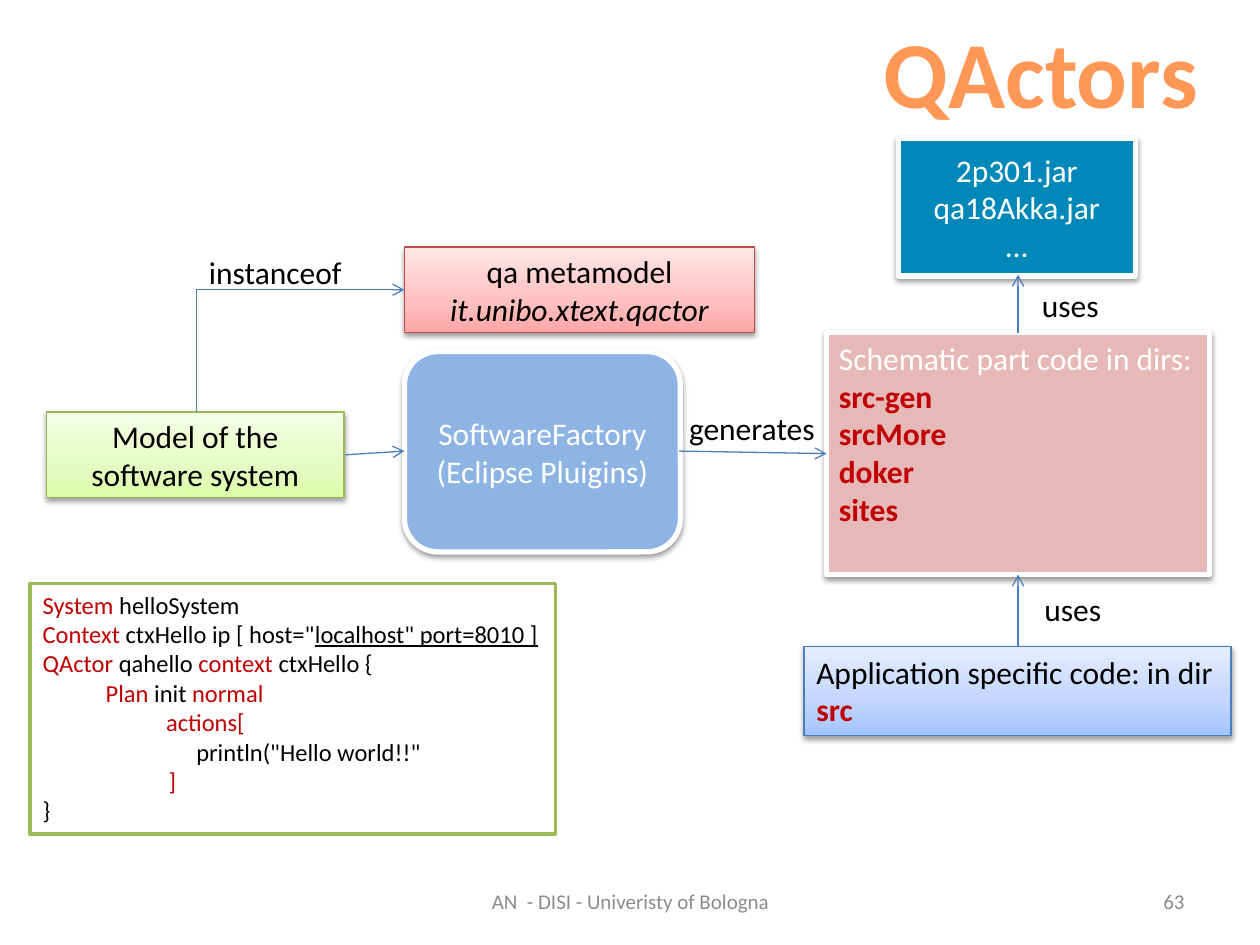
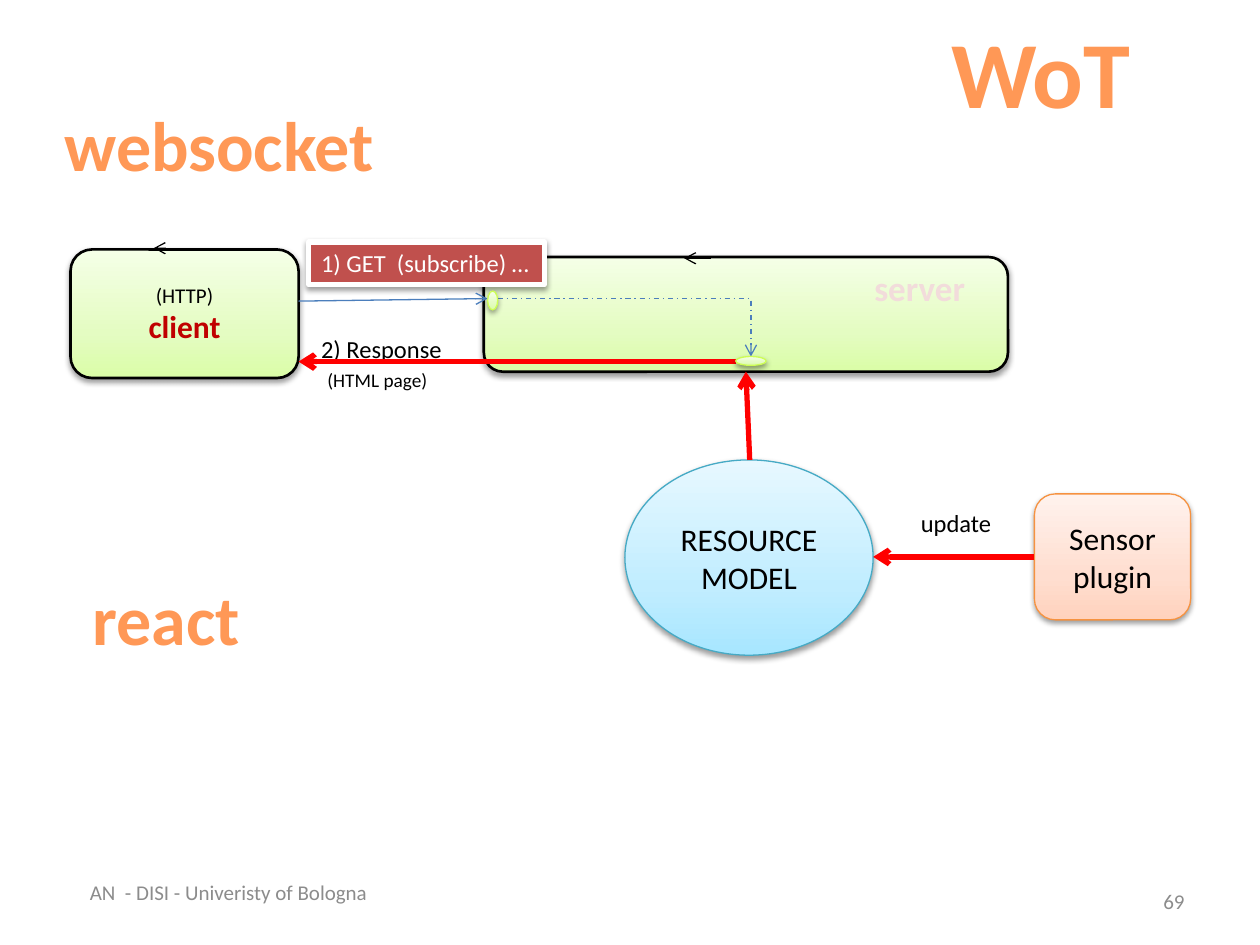
from copy import deepcopy

from lxml.etree import SubElement
from pptx import Presentation
from pptx.dml.color import RGBColor
from pptx.enum.dml import MSO_LINE
from pptx.enum.shapes import MSO_CONNECTOR, MSO_SHAPE
from pptx.enum.text import MSO_ANCHOR, PP_ALIGN
from pptx.oxml.ns import qn
from pptx.util import Inches, Pt

BLACK = RGBColor(0x00, 0x00, 0x00)
WHITE = RGBColor(0xFF, 0xFF, 0xFF)
GREY = RGBColor(0x8C, 0x8C, 0x8C)
ORANGE = RGBColor(0xFF, 0x98, 0x56)
DARK_RED = RGBColor(0xC0, 0x00, 0x00)
RED = RGBColor(0xFF, 0x00, 0x00)
BRICK = RGBColor(0xC0, 0x50, 0x4D)
BLUE = RGBColor(0x4B, 0x7E, 0xBC)
SKY = RGBColor(0x8E, 0xB4, 0xE3)
TEAL = RGBColor(0x00, 0x88, 0xB8)
ROSE = RGBColor(0xE6, 0xB9, 0xB8)
PALE_PINK = RGBColor(0xF2, 0xDC, 0xDB)
OLIVE = RGBColor(0x9B, 0xBB, 0x59)
OLIVE_EDGE = RGBColor(0x98, 0xB9, 0x55)
LIME_EDGE = RGBColor(0xCD, 0xFE, 0x54)
RED_EDGE = RGBColor(0xBF, 0x4C, 0x48)
AQUA_EDGE = RGBColor(0x46, 0xAA, 0xC5)
ORANGE_EDGE = RGBColor(0xF6, 0x92, 0x40)

# Gradients run from the bottom to the top, with stops at 0, 35 and 100 %
GREEN_FADE, RED_FADE, BLUE_FADE, AQUA_FADE, ORANGE_FADE = (
    [RGBColor.from_string(stop) for stop in stops.split()]
    for stops in (
        "DAFDA7 E4FCC2 F5FFE7",
        "FFA6A5 FFC0BF FFE7E7",
        "A4C4FF BFD4FF E6EEFF",
        "A7E6FF C1EDFF E7F8FF",
        "FFD2BD FFDED0 FFF2ED",
    )
)

FONT = "Calibri"
RECT, ROUND, OVAL = MSO_SHAPE.RECTANGLE, MSO_SHAPE.ROUNDED_RECTANGLE, MSO_SHAPE.OVAL
LEFT, CENTER, RIGHT = PP_ALIGN.LEFT, PP_ALIGN.CENTER, PP_ALIGN.RIGHT
TOP, MIDDLE = MSO_ANCHOR.TOP, MSO_ANCHOR.MIDDLE

deck = Presentation()
deck.slide_width, deck.slide_height = Inches(10), Inches(7.5)
COLUMN = deck.slide_width / 10
ROW = deck.slide_height / 7.5


def add_box(page, kind, place, lines=(), fill=None, edge=None, weight=0.75,
            size=18, color=BLACK, bold=False, align=CENTER, anchor=MIDDLE, shadow=True):
    """Add a shape, or a text box if kind is None.

    A line is a string or a list of (text, font options); the options "indent"
    and "before" move its paragraph.
    """
    left, top, width, height = place
    area = [int(v) for v in (left * COLUMN, top * ROW, width * COLUMN, height * ROW)]
    if kind is None:
        box = page.shapes.add_textbox(*area)
    else:
        box = page.shapes.add_shape(kind, *area)
        box.shadow.inherit = False
        if isinstance(fill, list):
            box.fill.gradient()
            box.fill.gradient_angle = 90
            stops = box._element.spPr.find(".//" + qn("a:gsLst"))
            stops.insert(1, deepcopy(stops[0]))
            for stop, shade, position in zip(box.fill.gradient_stops, fill, (0, 0.35, 1)):
                stop.color.rgb = shade
                stop.position = position
        else:
            box.fill.solid()
            box.fill.fore_color.rgb = fill
        box.line.color.rgb = edge
        box.line.width = Pt(weight)
        if shadow:
            effects = box._element.spPr.find(qn("a:effectLst"))
            outer = SubElement(effects, qn("a:outerShdw"), blurRad="40000", dist="20000",
                               dir="5400000", rotWithShape="0")
            tint = SubElement(outer, qn("a:srgbClr"), val="000000")
            SubElement(tint, qn("a:alpha"), val="38000")

    frame = box.text_frame
    frame.word_wrap = False
    frame.vertical_anchor = anchor
    for index, line in enumerate(lines):
        para = frame.add_paragraph() if index else frame.paragraphs[0]
        para.alignment = align
        para.font.name, para.font.size = FONT, Pt(size)
        para.font.bold, para.font.color.rgb = bold, color
        for text, options in [(line, {})] if isinstance(line, str) else line:
            span = para.add_run()
            span.text = text
            for option, value in options.items():
                if option == "color":
                    span.font.color.rgb = value
                elif option == "indent":
                    para._p.get_or_add_pPr().set("marL", str(int(value * COLUMN)))
                elif option == "before":
                    para.space_before = value
                else:
                    setattr(span.font, option, value)
    return box


def add_arrow(page, start, end, color=BLUE, weight=0.75, bent=False, tip="a:tailEnd", dash=None):
    """Add an arrow; a bent one runs sideways first and then down."""
    arrow = page.shapes.add_connector(
        MSO_CONNECTOR.ELBOW if bent else MSO_CONNECTOR.STRAIGHT,
        int(start[0] * COLUMN), int(start[1] * ROW), int(end[0] * COLUMN), int(end[1] * ROW))
    arrow.line.color.rgb = color
    arrow.line.width = Pt(weight)
    if dash:
        arrow.line.dash_style = dash
    properties = arrow._element.spPr
    if bent:
        properties.find(qn("a:prstGeom")).set("prst", "bentConnector2")
    SubElement(properties.find(qn("a:ln")), qn(tip), type="arrow")
    SubElement(properties, qn("a:effectLst"))


# Shared title and footer
pages = []
for title_text, title_left, title_width, number, footer_left, footer_top in (
    ("QActors", 6.9, 2.72, "63", 3.42, 6.95),
    ("WoT", 7.44, 1.64, "69", 0.23, 6.88),
):
    page = deck.slides.add_slide(deck.slide_layouts[5])
    title = page.shapes.title
    title.left, title.top = int(title_left * COLUMN), int(0.06 * ROW)
    title.width, title.height = int(title_width * COLUMN), int(1.01 * ROW)
    title.text_frame.text = title_text
    title.text_frame.word_wrap = False
    title.text_frame.vertical_anchor = TOP
    para = title.text_frame.paragraphs[0]
    para.alignment = CENTER
    para.font.name, para.font.size, para.font.bold = FONT, Pt(54), True
    para.font.color.rgb = ORANGE
    add_box(page, None, (footer_left, footer_top, 3.17, 0.4),
            ["AN  - DISI - Univeristy of Bologna"], size=12, color=GREY)
    add_box(page, None, (7.17, 6.95, 2.33, 0.4), [number], size=12, color=GREY, align=RIGHT)
    pages.append(page)
actors, wot = pages

# QActors: model, metamodel, factory and libraries
key = {"color": DARK_RED}
strong = {"color": DARK_RED, "bold": True}
add_box(actors, RECT, (0.37, 3.27, 2.36, 0.68), ["Model of the", "software system"],
        GREEN_FADE, OLIVE_EDGE)
add_box(actors, ROUND, (3.21, 2.79, 2.19, 1.59), ["SoftwareFactory", "(Eclipse Pluigins)"],
        SKY, WHITE, 3, color=WHITE)
add_box(actors, RECT, (3.21, 1.96, 2.78, 0.68),
        ["qa metamodel", [("it.unibo.xtext.qactor", {"italic": True})]], RED_FADE, RED_EDGE)
add_box(actors, RECT, (7.13, 1.1, 1.88, 1.09), ["2p301.jar", "qa18Akka.jar", "…"],
        TEAL, WHITE, 3, color=WHITE)

# QActors: generated and application code
folders = [[(name, strong)] for name in ("src-gen", "srcMore", "doker", "sites")]
add_box(actors, RECT, (6.56, 2.64, 3.04, 1.92), ["Schematic part code in dirs:"] + folders,
        ROSE, WHITE, 3, color=WHITE, align=LEFT, anchor=TOP)
add_box(actors, RECT, (6.38, 5.13, 3.39, 0.71),
        ["Application specific code: in dir", [("src", strong)]],
        BLUE_FADE, BLUE, align=LEFT, anchor=TOP)

# QActors: arrows and their labels
for start, end in (
    ((2.74, 3.61), (3.21, 3.58)),
    ((5.39, 3.58), (6.56, 3.6)),
    ((8.08, 2.64), (8.08, 2.18)),
    ((8.08, 5.13), (8.08, 4.56)),
):
    add_arrow(actors, start, end)
add_arrow(actors, (3.21, 2.3), (1.56, 3.27), bent=True, tip="a:headEnd")
for label, left, top, width in (
    ("instanceof", 1.56, 1.96, 1.27),
    ("generates", 5.37, 3.2, 1.21),
    ("uses", 8.17, 2.22, 0.66),
    ("uses", 8.19, 4.63, 0.66),
):
    add_box(actors, None, (left, top, width, 0.4), [label], align=LEFT, anchor=TOP)

# QActors: example specification
code = [
    [("System ", key), ("helloSystem", {})],
    [("Context ", key), ('ctxHello ip [ host="', {}),
     ('localhost" port=8010 ]', {"underline": True})],
    [("QActor ", key), ("qahello ", {}), ("context ", key), ("ctxHello {", {})],
    [("Plan ", {"indent": 0.5, **key}), ("init ", {}), ("normal", key)],
    [("actions[", {"indent": 0.98, **key})],
    [('println("Hello world!!"', {"indent": 1.22})],
    [("]", {"indent": 1, **key})],
    "}",
]
add_box(actors, RECT, (0.24, 4.63, 4.17, 1.99), code, WHITE, OLIVE, 2,
        size=14, align=LEFT, anchor=TOP, shadow=False)

# WoT: side headings
add_box(wot, None, (0.4, 0.76, 2.68, 0.77), ["websocket"],
        size=40, color=ORANGE, bold=True, anchor=TOP)
add_box(wot, None, (0.63, 4.52, 1.38, 0.77), ["react"],
        size=40, color=ORANGE, bold=True, anchor=TOP)

# WoT: server and client
add_box(wot, ROUND, (3.84, 2.04, 4.16, 0.91), (), GREEN_FADE, BLACK, 1.5)
add_box(wot, None, (6.84, 2.08, 1.15, 0.4), ["server"],
        size=20, color=PALE_PINK, bold=True, align=LEFT)
add_box(wot, ROUND, (0.56, 1.98, 1.81, 1.02),
        [[("(HTTP)", {"size": Pt(12)})], [("client", strong)]], GREEN_FADE, BLACK, 1.5)
add_arrow(wot, (1.43, 1.97), (1.22, 1.97), BLACK)
add_arrow(wot, (5.64, 2.05), (5.43, 2.05), BLACK)

# WoT: request and response
add_box(wot, RECT, (2.45, 1.92, 1.87, 0.34), ["1) GET  (subscribe) …"], BRICK, WHITE, 3,
        size=14, color=WHITE, align=LEFT, anchor=TOP)
add_box(wot, None, (2.45, 2.6, 1.17, 0.57),
        ["2) Response", [("(HTML page)", {"size": Pt(11), "indent": 0.05, "before": Pt(3)})]],
        size=14, align=LEFT, anchor=TOP)
add_arrow(wot, (2.37, 2.39), (3.87, 2.37))
add_arrow(wot, (5.84, 2.87), (2.37, 2.87), RED, 3)
add_arrow(wot, (3.95, 2.37), (5.96, 2.83), bent=True, dash=MSO_LINE.DASH_DOT)
for port in ((3.87, 2.31, 0.08, 0.15), (5.84, 2.83, 0.24, 0.07)):
    add_box(wot, OVAL, port, (), GREEN_FADE, LIME_EDGE)

# WoT: resource model and sensor
add_box(wot, OVAL, (4.96, 3.65, 1.97, 1.55), ["RESOURCE", "MODEL"], AQUA_FADE, AQUA_EDGE)
add_box(wot, ROUND, (8.21, 3.92, 1.24, 1), ["Sensor", "plugin"], ORANGE_FADE, ORANGE_EDGE)
add_arrow(wot, (8.21, 4.42), (6.93, 4.42), RED, 3)
add_arrow(wot, (5.95, 3.65), (5.92, 2.95), RED, 3)
add_box(wot, None, (7.21, 3.98, 0.77, 0.34), ["update"], size=14, align=LEFT, anchor=TOP)

deck.save("out.pptx")
